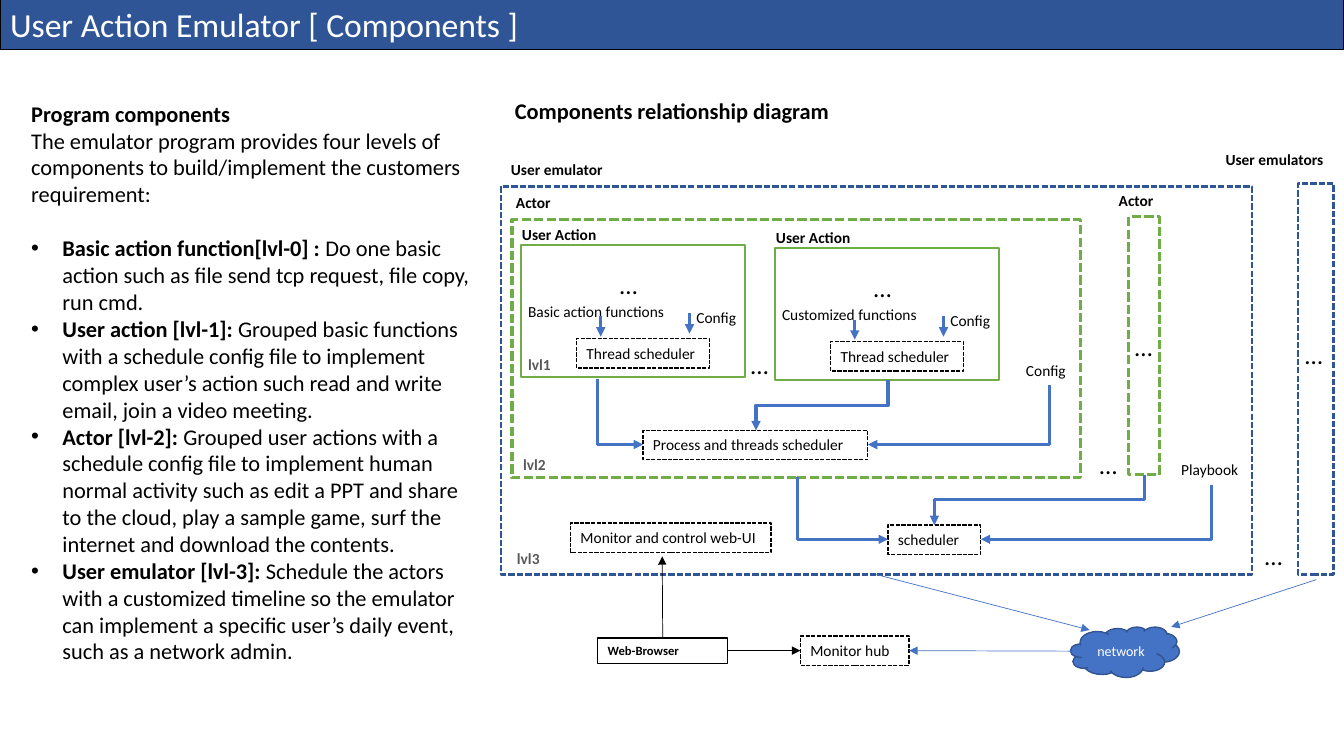
from dataclasses import dataclass
from typing import Optional

from lxml.etree import SubElement
from pptx import Presentation
from pptx.dml.color import RGBColor
from pptx.enum.dml import MSO_LINE
from pptx.enum.shapes import MSO_CONNECTOR as Connector, MSO_SHAPE as Preset
from pptx.enum.text import MSO_ANCHOR as Anchor, MSO_AUTO_SIZE as AutoSize, PP_ALIGN as Align
from pptx.oxml.ns import qn
from pptx.util import Pt

PX = 9144  # EMU per px, 100 px to the inch
NAVY, BLUE, GREEN = "2F5597", "4472C4", "70AD47"
BLACK, WHITE, GRAY = "000000", "FFFFFF", "595959"
TOP, LEFT, BOTTOM, RIGHT = range(4)


@dataclass
class Label:
    text: str
    x: int
    y: int
    width: int
    height: int = 29
    size: int = 11
    bold: bool = False
    color: str = BLACK


@dataclass
class Box:
    x: int
    y: int
    width: int
    height: int
    line: str = BLACK
    weight: float = 1
    dashed: bool = True
    fill: Optional[str] = None
    text: str = ""
    size: int = 11
    bold: bool = False


@dataclass
class Arrow:
    start: tuple[int, int]
    end: tuple[int, int]
    color: str = BLUE
    weight: float = 2.25


def rgb(value: str) -> RGBColor:
    return RGBColor.from_string(value)


def place(shape, x: int, y: int, width: int, height: int) -> None:
    shape.left, shape.top, shape.width, shape.height = (n * PX for n in (x, y, width, height))


def add_run(paragraph, text: str, size: int, color: str = BLACK, bold: bool = False) -> None:
    run = paragraph.add_run()
    run.text = text
    run.font.name, run.font.size, run.font.bold = "Calibri", Pt(size), bold
    run.font.color.rgb = rgb(color)


def add_label(label: Label) -> None:
    shape = shapes.add_textbox(label.x * PX, label.y * PX, label.width * PX, label.height * PX)
    shape.text_frame.word_wrap = True
    add_run(shape.text_frame.paragraphs[0], label.text, label.size, label.color, label.bold)


def add_dots(x: int, y: int) -> None:
    add_label(Label("…", x, y, 38, 40, 18))


def add_box(box: Box, preset=Preset.RECTANGLE):
    shape = shapes.add_shape(preset, box.x * PX, box.y * PX, box.width * PX, box.height * PX)
    shape.shadow.inherit = False
    if box.fill:
        shape.fill.solid()
        shape.fill.fore_color.rgb = rgb(box.fill)
    else:
        shape.fill.background()
    shape.line.color.rgb, shape.line.width = rgb(box.line), Pt(box.weight)
    if box.dashed:
        shape.line.dash_style = MSO_LINE.SQUARE_DOT
    if box.text:
        frame = shape.text_frame
        frame.word_wrap, frame.vertical_anchor = True, Anchor.TOP
        frame.paragraphs[0].alignment = Align.LEFT
        add_run(frame.paragraphs[0], box.text, box.size, BLACK, box.bold)
    return shape


def add_arrow(arrow: Arrow, kind=Connector.STRAIGHT):
    connector = shapes.add_connector(kind, *(n * PX for n in arrow.start + arrow.end))
    connector.line.color.rgb, connector.line.width = rgb(arrow.color), Pt(arrow.weight)
    SubElement(connector.line._get_or_add_ln(), qn("a:tailEnd"), type="triangle")
    SubElement(connector._element.spPr, qn("a:effectLst"))
    return connector


def add_elbow(arrow: Arrow, preset: str) -> None:
    """Draw a bent arrow that leaves its start downwards."""
    connector = add_arrow(arrow, Connector.ELBOW)
    (x1, y1), (x2, y2) = arrow.start, arrow.end
    across, down = abs(x2 - x1), y2 - y1
    connector.left = (x1 + x2 - down) * PX // 2
    connector.top = (y1 + y2 - across) * PX // 2
    connector.width, connector.height = down * PX, across * PX
    properties = connector._element.spPr
    properties.find(qn("a:prstGeom")).set("prst", preset)
    frame = properties.find(qn("a:xfrm"))
    leftward = x2 < x1
    frame.set("rot", str((90 if leftward else 270) * 60000))
    frame.set("flipH", "0" if leftward else "1")


def add_user_action(x: int, y: int, functions: str) -> None:
    add_box(Box(x, y, 222, 131, GREEN, 1.5, False, WHITE))
    add_dots(x + 88, y + 19)
    add_label(Label("User Action", x - 9, y - 25, 165, bold=True))
    add_label(Label(functions, x - 3, y + 52, 165))
    add_label(Label("Config", x + 164, y + 58, 64))
    for arrow_x, arrow_y in ((x + 79, y + 71), (x + 167, y + 68)):
        add_arrow(Arrow((arrow_x, arrow_y), (arrow_x, arrow_y + 20)))
    add_box(Box(x + 55, y + 93, 132, 29, text="Thread scheduler"))


presentation = Presentation()
presentation.slide_width, presentation.slide_height = 12192000, 6858000
slide = presentation.slides.add_slide(presentation.slide_layouts[1])
shapes = slide.shapes

title = shapes.title
place(title, 0, -1, 1333, 50)
title.fill.solid()
title.fill.fore_color.rgb = rgb(NAVY)
title.line.color.rgb, title.line.width = rgb(BLACK), Pt(0.75)
title.text_frame.auto_size = AutoSize.NONE
title.text_frame.vertical_anchor = Anchor.TOP
title.text_frame.paragraphs[0].alignment = Align.LEFT
add_run(title.text_frame.paragraphs[0], "User Action Emulator [ Components ]", 24, WHITE)

INTRO = [
    ("Program components", ""),
    ("", "The emulator program provides four levels of components to build/implement the "
         "customers requirement:"),
]
LEVELS = [
    ("Basic action function[lvl-0] : ",
     "Do one basic action such as file send tcp request, file copy, run cmd."),
    ("User action [lvl-1]:",
     " Grouped basic functions with a schedule config file to implement complex user’s action "
     "such read and write email, join a video meeting."),
    ("Actor [lvl-2]: ",
     "Grouped user actions with a schedule config file to implement human normal activity such "
     "as edit a PPT and share to the cloud, play a sample game, surf the internet and download "
     "the contents."),
    ("User emulator [lvl-3]: ",
     "Schedule the actors with a customized timeline so the emulator can implement a specific "
     "user’s daily event, such as a network admin."),
]
body = slide.placeholders[1]
place(body, 21, 94, 463, 575)
body.text_frame.auto_size = AutoSize.NONE
for index, (lead, detail) in enumerate(INTRO + LEVELS):
    paragraph = body.text_frame.paragraphs[0] if index == 0 else body.text_frame.add_paragraph()
    bulleted = index >= len(INTRO)
    paragraph.space_before = Pt(19.5 if index == len(INTRO) else 0)
    properties = paragraph._p.get_or_add_pPr()
    indent = 31 * PX if bulleted else 0
    properties.set("marL", str(indent))
    properties.set("indent", str(-indent))
    if bulleted:
        SubElement(properties, qn("a:buChar"), char="•")
    else:
        SubElement(properties, qn("a:buNone"))
    for text, bold in ((lead, True), (detail, False)):
        if text:
            add_run(paragraph, text, 16, BLACK, bold)

emulator = add_box(Box(497, 185, 745, 385, NAVY, 1.5, fill=WHITE))
for frame_box in (
    Box(508, 218, 564, 256, GREEN, 2.25, fill=WHITE),
    Box(1120, 215, 30, 256, GREEN, 2.25, fill=WHITE),
    Box(1288, 182, 35, 388, NAVY, 1.5, fill=WHITE),
):
    add_box(frame_box)

add_user_action(517, 243, "Basic action functions")
add_user_action(769, 246, "Customized functions")

for scheduler in (
    Box(638, 427, 223, 29, text="Process and threads scheduler"),
    Box(881, 521, 92, 29, text="scheduler"),
    Box(566, 519, 199, 29, text="Monitor and control web-UI"),
):
    add_box(scheduler)
hub = add_box(Box(794, 631, 108, 29, text="Monitor hub"))
browser = add_box(Box(593, 633, 129, 25, dashed=False, fill=WHITE, text="Web-Browser", size=9, bold=True))
cloud = add_box(Box(1062, 622, 108, 50, "325491", 1, False, BLUE), Preset.CLOUD)
cloud.text_frame.vertical_anchor = Anchor.MIDDLE
cloud.text_frame.paragraphs[0].alignment = Align.CENTER
add_run(cloud.text_frame.paragraphs[0], "network", 10, WHITE)

for label in (
    Label("Components relationship diagram", 501, 91, 394, 37, 16, True),
    Label("User emulator", 497, 154, 131, bold=True),
    Label("User emulators", 1206, 144, 131, bold=True),
    Label("Actor", 502, 187, 62, bold=True),
    Label("Actor", 1100, 185, 165, bold=True),
    Label("Config", 1008, 353, 64),
    Label("Playbook", 1162, 452, 80),
    Label("lvl1", 514, 347, 131, bold=True, color=GRAY),
    Label("lvl2", 509, 447, 131, bold=True, color=GRAY),
    Label("lvl3", 503, 540, 131, bold=True, color=GRAY),
):
    add_label(label)
for dots_x, dots_y in ((735, 342), (1081, 441), (1116, 324), (1285, 332), (1245, 531)):
    add_dots(dots_x, dots_y)

for start, end, preset in (
    ((593, 376), (638, 441), "bentConnector2"),
    ((881, 377), (750, 427), "bentConnector3"),
    ((1041, 382), (861, 441), "bentConnector2"),
    ((791, 473), (881, 535), "bentConnector2"),
    ((1202, 481), (973, 535), "bentConnector2"),
    ((1135, 471), (927, 521), "bentConnector3"),
):
    add_elbow(Arrow(start, end), preset)

add_arrow(Arrow((869, 570), (1081, 625), weight=0.5)).begin_connect(emulator, BOTTOM)
add_arrow(Arrow((1306, 575), (1162, 622), weight=0.5))
add_arrow(Arrow((1063, 646), (902, 645), weight=0.5)).end_connect(hub, RIGHT)
add_arrow(Arrow((657, 633), (657, 552), BLACK, 0.5)).begin_connect(browser, TOP)
browser_to_hub = add_arrow(Arrow((722, 645), (794, 645), BLACK, 0.5))
browser_to_hub.begin_connect(browser, RIGHT)
browser_to_hub.end_connect(hub, LEFT)

presentation.save("out.pptx")
